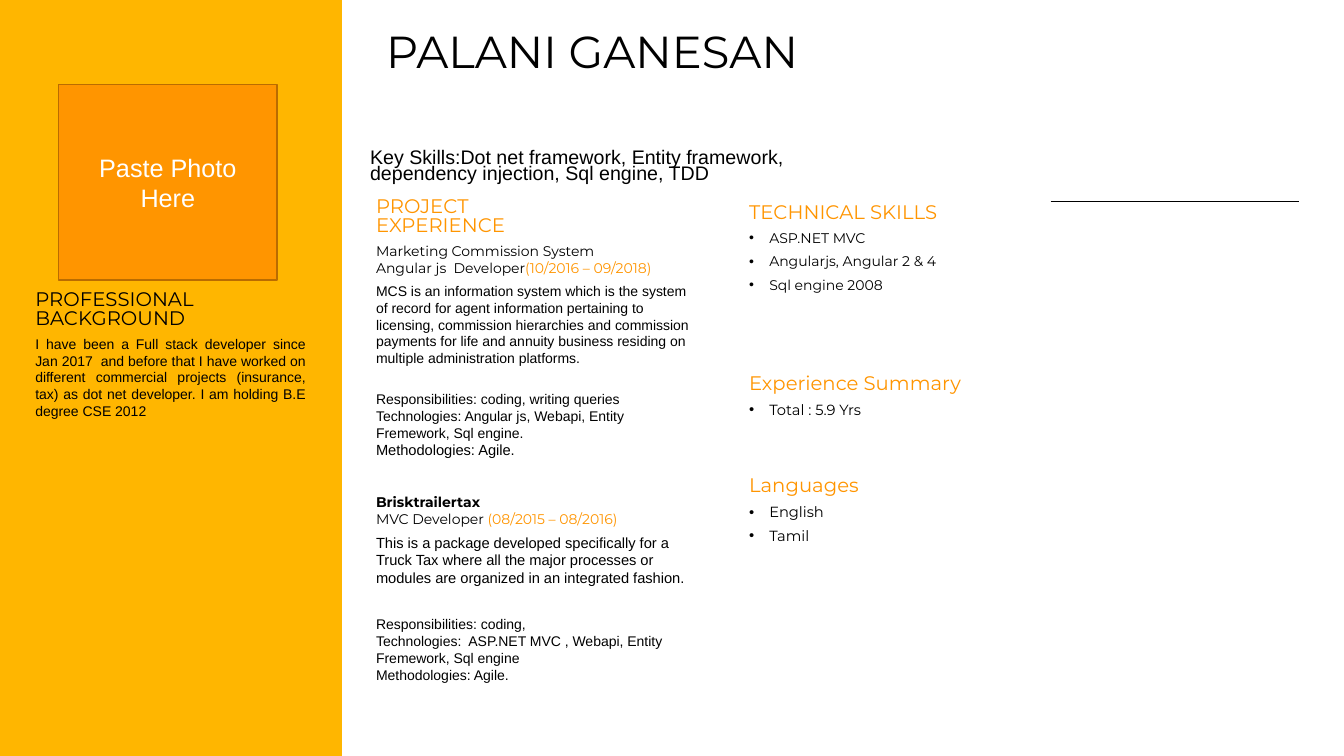
from lxml import etree
from pptx import Presentation
from pptx.dml.color import RGBColor
from pptx.enum.shapes import MSO_CONNECTOR, MSO_SHAPE
from pptx.enum.text import MSO_ANCHOR, MSO_AUTO_SIZE, PP_ALIGN
from pptx.oxml.ns import qn
from pptx.util import Emu, Pt

PX = 9144
BLACK = RGBColor(0x00, 0x00, 0x00)
WHITE = RGBColor(0xFF, 0xFF, 0xFF)
AMBER = RGBColor(0xFF, 0xB6, 0x00)
ORANGE = RGBColor(0xFF, 0x95, 0x00)
BROWN = RGBColor(0xBA, 0x6C, 0x00)
HEAD_FONT = "Montserrat"
BODY_FONT = "Arial"
GAP = 4.5


def px(n):
    return Emu(n * PX)


def set_insets(tf, x=0, y=0):
    tf.margin_left = tf.margin_right = px(x)
    tf.margin_top = tf.margin_bottom = px(y)


def add_run(p, text, size, font=BODY_FONT, color=BLACK, bold=False):
    for i, part in enumerate(text.split("\n")):
        if i:
            p.add_line_break()
        r = p.add_run()
        r.text = part
        r.font.size = Pt(size)
        r.font.name = font
        r.font.bold = bold
        r.font.color.rgb = color


def add_text_box(s, x, y, w, h):
    tf = s.shapes.add_textbox(px(x), px(y), px(w), px(h)).text_frame
    tf.word_wrap = True
    set_insets(tf)
    return tf


def add_para(tf, before=0.0, spacing=1.0, align=PP_ALIGN.LEFT):
    p = tf.paragraphs[0] if not tf.paragraphs[0].runs else tf.add_paragraph()
    p.space_before = Pt(before)
    p.line_spacing = spacing
    p.alignment = align
    return p


def add_heading(tf, text, color=ORANGE, before=0, spacing=0.8):
    add_run(add_para(tf, before, spacing), text, 14, HEAD_FONT, color)


def add_body(tf, text, size=10, before=0.0, align=PP_ALIGN.LEFT):
    add_run(add_para(tf, before, align=align), text, size)


def add_role(tf, role, dates, before=0.0):
    p = add_para(tf, before)
    add_run(p, role, 10, HEAD_FONT)
    add_run(p, dates, 10, HEAD_FONT, ORANGE)


def add_bullet(tf, text, size):
    p = add_para(tf, GAP)
    add_run(p, text, size, HEAD_FONT)
    pPr = p._p.get_or_add_pPr()
    pPr.set("marL", str(px(20)))
    pPr.set("indent", str(-px(20)))
    bu_color = etree.SubElement(pPr, qn("a:buClr"))
    etree.SubElement(bu_color, qn("a:srgbClr")).set("val", str(BLACK))
    etree.SubElement(pPr, qn("a:buFont")).set("typeface", BODY_FONT)
    etree.SubElement(pPr, qn("a:buChar")).set("char", "•")


def add_rect(s, x, y, w, h, fill, line=None):
    sp = s.shapes.add_shape(MSO_SHAPE.RECTANGLE, px(x), px(y), px(w), px(h))
    sp.shadow.inherit = False
    sp.fill.solid()
    sp.fill.fore_color.rgb = fill
    if line is None:
        sp.line.fill.background()
    else:
        sp.line.color.rgb = line
        sp.line.width = Pt(1)
    return sp


def add_rule(s, x1, x2, y):
    rule = s.shapes.add_connector(MSO_CONNECTOR.STRAIGHT, px(x1), px(y), px(x2), px(y))
    rule.line.color.rgb = BLACK
    rule.line.width = Pt(1)
    etree.SubElement(rule._element.spPr, qn("a:effectLst"))


def set_title(s, text):
    title = s.shapes.title
    title.left, title.top, title.width, title.height = px(373), px(29), px(670), px(108)
    tf = title.text_frame
    tf.word_wrap = True
    tf.auto_size = MSO_AUTO_SIZE.NONE
    tf.vertical_anchor = MSO_ANCHOR.TOP
    set_insets(tf, 10, 5)
    add_run(add_para(tf, spacing=0.8), text, 32, HEAD_FONT)


def add_skills(s):
    tf = add_text_box(s, 743, 203, 515, 469)
    sections = [
        ("TECHNICAL SKILLS", 0, 0.8, 10,
         ["ASP.NET MVC", "Angularjs, Angular 2 & 4", "Sql engine 2008"]),
        ("Experience Summary", 56, 1.0, 10.5, ["Total : 5.9 Yrs"]),
        ("Languages", 39, 1.0, 10.5, ["English", "Tamil"]),
    ]
    for heading, before, spacing, size, items in sections:
        add_heading(tf, heading, before=before, spacing=spacing)
        for item in items:
            add_bullet(tf, item, size)


def add_projects(s):
    tf = add_text_box(s, 373, 197, 321, 502)
    add_heading(tf, "PROJECT\nEXPERIENCE")
    add_role(tf, "Marketing Commission System\nAngular js  Developer",
             "(10/2016 – 09/2018)", GAP)
    add_body(tf, "MCS is an information system which is the system of record for "
                 "agent information pertaining to licensing, commission hierarchies "
                 "and commission payments for life and annuity business residing on "
                 "multiple administration platforms.", before=GAP)
    add_body(tf, "Responsibilities: coding, writing queries", before=17)
    add_body(tf, "Technologies: Angular js, Webapi, Entity Fremework, Sql engine.")
    add_body(tf, "Methodologies: Agile.", 10.5)
    add_run(add_para(tf, 25), "Brisktrailertax", 10, HEAD_FONT, bold=True)
    add_role(tf, "MVC Developer ", "(08/2015 – 08/2016)")
    add_body(tf, "This is a package developed specifically for a Truck Tax where all "
                 "the major processes or modules are organized in an integrated "
                 "fashion.", 10.5, GAP)
    add_body(tf, "Responsibilities: coding,", before=21)
    add_body(tf, "Technologies:  ASP.NET MVC , Webapi, Entity Fremework, Sql engine")
    add_body(tf, "Methodologies: Agile.")


def add_background(s):
    tf = add_text_box(s, 35, 289, 268, 425)
    add_heading(tf, "PROFESSIONAL BACKGROUND", BLACK)
    add_body(tf, "I have been a Full stack developer since Jan 2017  and before that "
                 "I have worked on different commercial projects (insurance, tax) as "
                 "dot net developer. I am holding B.E degree CSE 2012",
             before=GAP, align=PP_ALIGN.JUSTIFY)


def add_photo_box(s):
    tf = add_rect(s, 58, 84, 217, 194, ORANGE, BROWN).text_frame
    tf.word_wrap = True
    tf.vertical_anchor = MSO_ANCHOR.MIDDLE
    set_insets(tf, 15, 5)
    add_run(add_para(tf, align=PP_ALIGN.CENTER), "Paste Photo Here", 18, color=WHITE)


def main():
    prs = Presentation()
    prs.slide_width, prs.slide_height = px(1333), px(750)
    s = prs.slides.add_slide(prs.slide_layouts[5])
    add_rule(s, 1042, 1288, 200)
    add_rect(s, 0, 0, 339, 750, AMBER)
    set_title(s, "PALANI GANESAN")
    key_skills = add_text_box(s, 367, 150, 482, 35)
    add_run(add_para(key_skills, spacing=0.7),
            "Key Skills:Dot net framework, Entity framework, "
            "dependency injection, Sql engine, TDD", 14)
    add_skills(s)
    add_projects(s)
    add_background(s)
    add_photo_box(s)
    prs.save("out.pptx")


if __name__ == "__main__":
    main()
